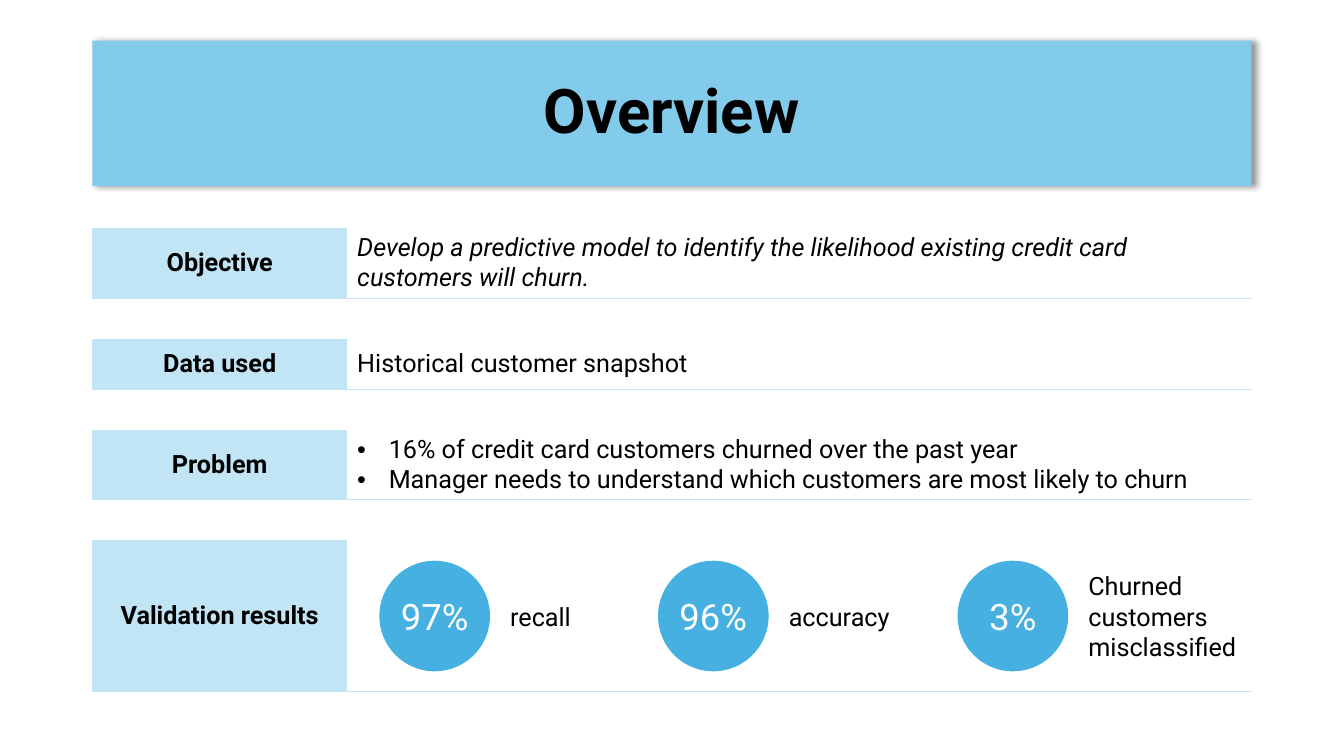
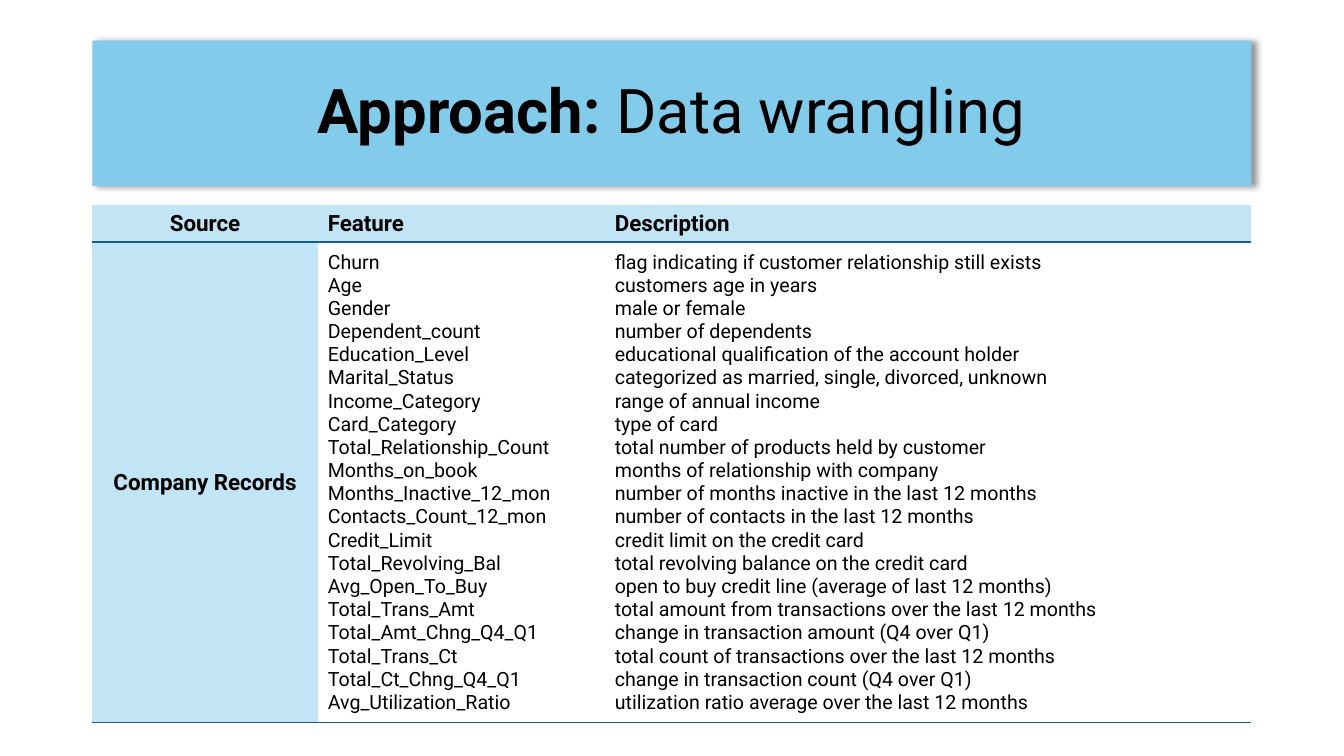
from lxml import etree
from pptx import Presentation
from pptx.dml.color import RGBColor
from pptx.enum.shapes import MSO_SHAPE as Shape
from pptx.enum.text import MSO_ANCHOR as Anchor, PP_ALIGN as Align
from pptx.oxml import parse_xml
from pptx.oxml.ns import nsdecls, qn
from pptx.util import Pt

FONT = "Roboto"
BLACK, WHITE = "000000", "FFFFFF"
BANNER, LABEL, ACCENT, RULE = "83CBEB", "C1E5F5", "46B1E1", "156082"
LEFT, WIDTH = 66, 828
NO_STYLE = "{2D5ABB26-0587-4C30-8999-92F81FD0307C}"

LABEL_WIDTH = 182
GAP = 29
SECTIONS = [
    ("Objective", 50, ["Develop a predictive model to identify the likelihood existing "
                       "credit card customers will churn."], {"italic": True}),
    ("Data used", 36, ["Historical customer snapshot"], {}),
    ("Problem", 50, ["16% of credit card customers churned over the past year",
                     "Manager needs to understand which customers are most likely to churn"],
     {"bullet": True}),
    ("Validation results", 108, [], {}),
]
# Value, caption, offset in the results cell, caption width
RESULTS = [
    ("97%", "recall", 23, 122),
    ("96%", "accuracy", 222, 137),
    ("3%", "Churned customers misclassified", 436, 137),
]
FEATURES = [
    ("Churn", "flag indicating if customer relationship still exists"),
    ("Age", "customers age in years"),
    ("Gender", "male or female"),
    ("Dependent_count", "number of dependents"),
    ("Education_Level", "educational qualification of the account holder"),
    ("Marital_Status", "categorized as married, single, divorced, unknown"),
    ("Income_Category", "range of annual income"),
    ("Card_Category", "type of card"),
    ("Total_Relationship_Count", "total number of products held by customer"),
    ("Months_on_book", "months of relationship with company"),
    ("Months_Inactive_12_mon", "number of months inactive in the last 12 months"),
    ("Contacts_Count_12_mon", "number of contacts in the last 12 months"),
    ("Credit_Limit", "credit limit on the credit card"),
    ("Total_Revolving_Bal", "total revolving balance on the credit card"),
    ("Avg_Open_To_Buy", "open to buy credit line (average of last 12 months)"),
    ("Total_Trans_Amt", "total amount from transactions over the last 12 months"),
    ("Total_Amt_Chng_Q4_Q1", "change in transaction amount (Q4 over Q1)"),
    ("Total_Trans_Ct", "total count of transactions over the last 12 months"),
    ("Total_Ct_Chng_Q4_Q1", "change in transaction count (Q4 over Q1)"),
    ("Avg_Utilization_Ratio", "utilization ratio average over the last 12 months"),
]


def rgb(color):
    return RGBColor.from_string(color)


def set_font(font, size, color=BLACK, bold=False, italic=False):
    font.name, font.size = FONT, Pt(size)
    font.bold, font.italic = bold, italic
    font.color.rgb = rgb(color)


def add_bullet(paragraph):
    properties = paragraph._p.get_or_add_pPr()
    properties.set("marL", str(Pt(22.5)))
    properties.set("indent", str(Pt(-22.5)))
    etree.SubElement(properties, qn("a:buFont")).set("typeface", "Arial")
    etree.SubElement(properties, qn("a:buChar")).set("char", "•")


def write(frame, lines, size, align=Align.LEFT, bullet=False, **style):
    for index, line in enumerate(lines):
        paragraph = frame.add_paragraph() if index else frame.paragraphs[0]
        paragraph.text = line
        paragraph.alignment = align
        if bullet:
            add_bullet(paragraph)
        set_font(paragraph.font, size, **style)


def add_filled(slide, kind, box, color):
    shape = slide.shapes.add_shape(kind, *map(Pt, box))
    shape.shadow.inherit = False
    shape.fill.solid()
    shape.fill.fore_color.rgb = rgb(color)
    shape.line.fill.background()
    shape.text_frame.word_wrap = True
    shape.text_frame.vertical_anchor = Anchor.MIDDLE
    return shape


def add_banner(slide, bold_text, plain_text=""):
    shape = add_filled(slide, Shape.RECTANGLE, (LEFT, 29, WIDTH, 104), BANNER)
    shape._element.spPr.find(qn("a:effectLst")).append(parse_xml(
        f'<a:outerShdw {nsdecls("a")} blurRad="{Pt(4)}" dist="{Pt(3)}" dir="0" algn="l" '
        f'rotWithShape="0"><a:srgbClr val="{BLACK}"><a:alpha val="40000"/></a:srgbClr>'
        '</a:outerShdw>'))
    paragraph = shape.text_frame.paragraphs[0]
    paragraph.alignment = Align.CENTER
    paragraph.line_spacing = 0.9
    for text, bold in ((bold_text, True), (plain_text, False)):
        if text:
            run = paragraph.add_run()
            run.text = text
            set_font(run.font, 44, bold=bold)


def add_plain_table(slide, top, widths, heights):
    """Add a table without style, fills or borders."""
    frame = slide.shapes.add_table(len(heights), len(widths), Pt(LEFT), Pt(top),
                                   Pt(sum(widths)), Pt(sum(heights)))
    table = frame.table
    table.first_row = table.horz_banding = False
    table._tbl.tblPr.find(qn("a:tableStyleId")).text = NO_STYLE
    for column, width in zip(table.columns, widths):
        column.width = Pt(width)
    for row, height in zip(table.rows, heights):
        row.height = Pt(height)
    for cell in table.iter_cells():
        cell.vertical_anchor = Anchor.MIDDLE
        cell.fill.background()
    return table


def underline(cell, color):
    cell._tc.get_or_add_tcPr().insert(0, parse_xml(
        f'<a:lnB {nsdecls("a")} w="{Pt(1)}"><a:solidFill><a:srgbClr val="{color}"/>'
        '</a:solidFill></a:lnB>'))


def shade(cell):
    cell.fill.solid()
    cell.fill.fore_color.rgb = rgb(LABEL)


def add_sections(slide, top):
    """Add the labelled rows and return the box of the last content cell."""
    heights = [GAP] * (2 * len(SECTIONS) - 1)
    heights[::2] = [height for _, height, _, _ in SECTIONS]
    content_width = WIDTH - LABEL_WIDTH
    table = add_plain_table(slide, top, [LABEL_WIDTH, content_width], heights)
    for index, (label, _, lines, style) in enumerate(SECTIONS):
        label_cell, content_cell = table.cell(2 * index, 0), table.cell(2 * index, 1)
        write(label_cell.text_frame, [label], 18, Align.CENTER, bold=True)
        write(content_cell.text_frame, lines, 18, **style)
        shade(label_cell)
        for cell in (label_cell, content_cell):
            underline(cell, LABEL)
    for row in range(1, len(heights), 2):
        for column in range(2):
            cell = table.cell(row, column)
            cell.margin_top = cell.margin_bottom = 0
    return LEFT + LABEL_WIDTH, top + sum(heights[:-1]), content_width, heights[-1]


def add_results(slide, box):
    left, top, _, height = box
    size = 79
    circle_top = top + (height - size) / 2
    for value, caption, offset, caption_width in RESULTS:
        circle_left = left + offset
        circle = add_filled(slide, Shape.OVAL, (circle_left, circle_top, size, size), ACCENT)
        circle.text_frame.margin_left = circle.text_frame.margin_right = 0
        write(circle.text_frame, [value], 26, Align.CENTER, color=WHITE)

        text_box = slide.shapes.add_textbox(Pt(circle_left + size), Pt(circle_top),
                                            Pt(caption_width), Pt(size))
        frame = text_box.text_frame
        frame.word_wrap = True
        frame.vertical_anchor = Anchor.MIDDLE
        frame.margin_left = Pt(14.4)
        write(frame, [caption], 18)


def add_feature_table(slide, top):
    table = add_plain_table(slide, top, [161, 205, 462], [26, 338])
    names, descriptions = zip(*FEATURES)
    for column, heading in enumerate(("Source", "Feature", "Description")):
        align = Align.LEFT if column else Align.CENTER
        write(table.cell(0, column).text_frame, [heading], 16, align, bold=True)
        shade(table.cell(0, column))
    write(table.cell(1, 0).text_frame, ["Company Records"], 16, Align.CENTER, bold=True)
    shade(table.cell(1, 0))
    write(table.cell(1, 1).text_frame, names, 14)
    write(table.cell(1, 2).text_frame, descriptions, 14)
    for cell in table.iter_cells():
        underline(cell, RULE)


def build_overview(slide):
    add_banner(slide, "Overview")
    add_results(slide, add_sections(slide, top=163))


def build_data_wrangling(slide):
    add_banner(slide, "Approach: ", "Data wrangling")
    add_feature_table(slide, top=146.5)


def main():
    presentation = Presentation()
    presentation.slide_width, presentation.slide_height = Pt(960), Pt(540)
    for build in (build_overview, build_data_wrangling):
        build(presentation.slides.add_slide(presentation.slide_layouts[6]))
    presentation.save("out.pptx")


if __name__ == "__main__":
    main()
